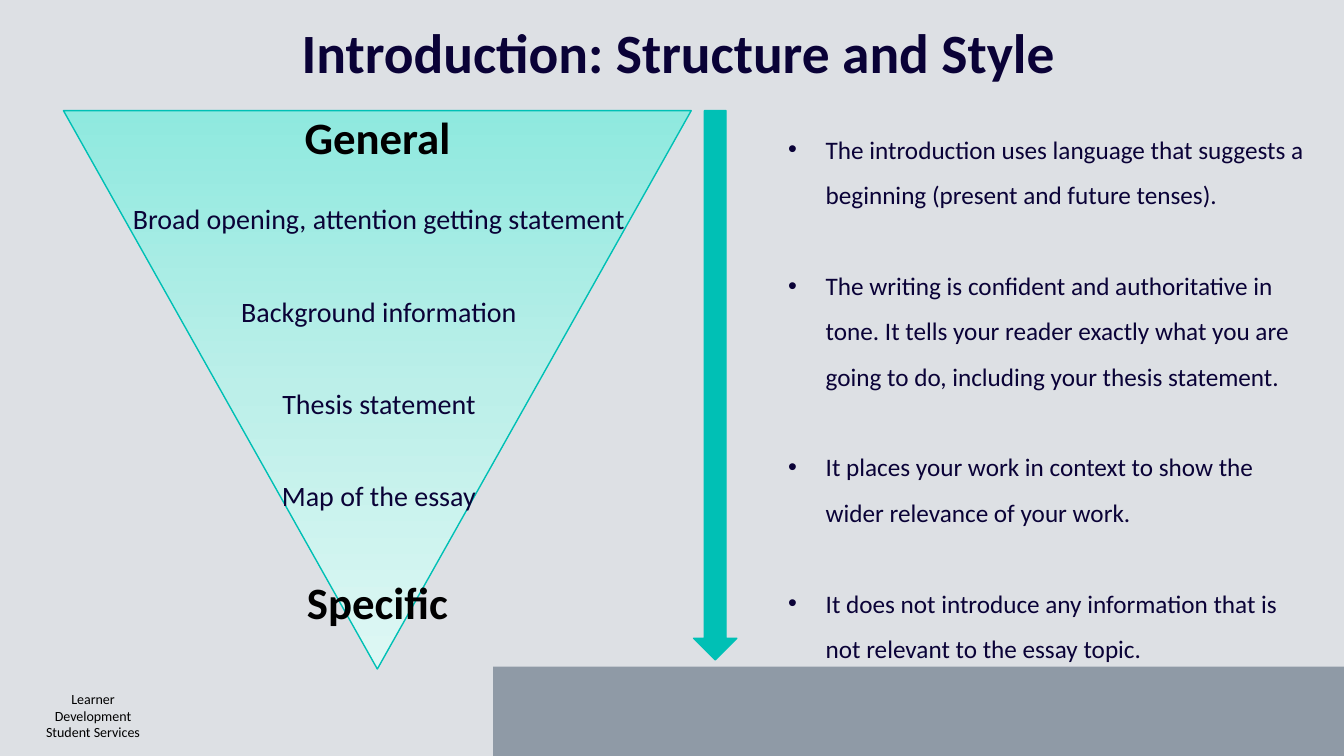
from dataclasses import dataclass

from lxml import etree
from pptx import Presentation
from pptx import util as u
from pptx.dml.color import RGBColor
from pptx.enum import shapes, text
from pptx.oxml import ns, parse_xml


@dataclass(frozen=True)
class Theme:
    font: str = "Calibri"
    navy: str = "0A0237"
    black: str = "000000"
    slate: str = "8F9AA6"
    teal: str = "00C0B5"
    fade: tuple = ((0, "8FE9DF"), (50, "BCEFE9"), (100, "DEF7F4"))
    title: float = 39.6
    label: float = 32
    step: float = 20
    point: float = 18
    footer: float = 10


THEME = Theme()
SHAPE = shapes.MSO_SHAPE
WIDTH, HEIGHT = 33.87, 19.05

STEPS = [
    "Broad opening, attention getting statement",
    "Background information",
    "Thesis statement",
    "Map of the essay",
]
POINTS = [
    "The introduction uses language that suggests a beginning (present and future tenses).",
    "The writing is confident and authoritative in tone. It tells your reader exactly "
    "what you are going to do, including your thesis statement.",
    "It places your work in context to show the wider relevance of your work.",
    "It does not introduce any information that is not relevant to the essay topic.",
]


def add_bullet(para, indent):
    """Give a paragraph a hanging round bullet."""
    props = para._p.get_or_add_pPr()
    props.set("marL", str(u.Cm(indent)))
    props.set("indent", str(-u.Cm(indent)))
    etree.SubElement(props, ns.qn("a:buFont")).set("typeface", "Arial")
    etree.SubElement(props, ns.qn("a:buChar")).set("char", "•")


def add_text(page, area, lines, *, size, color=THEME.navy, bold=False,
             align=text.PP_ALIGN.CENTER, anchor=text.MSO_ANCHOR.TOP,
             spacing=1.0, after=0, bullet_indent=None):
    """Add a text box with one paragraph for each line."""
    box = page.shapes.add_textbox(*map(u.Cm, area))
    frame = box.text_frame
    frame.word_wrap = True
    frame.vertical_anchor = anchor
    for index, line in enumerate(lines):
        para = frame.add_paragraph() if index else frame.paragraphs[0]
        para.alignment = align
        para.line_spacing = spacing
        para.space_after = u.Pt(after)
        if bullet_indent:
            add_bullet(para, bullet_indent)
        span = para.add_run()
        span.text = line
        span.font.name = THEME.font
        span.font.size = u.Pt(size)
        span.font.bold = bold
        span.font.color.rgb = RGBColor.from_string(color)


def add_figure(page, kind, area, color, *, outline=None, opacity=None):
    """Add a preset shape with a plain fill."""
    figure = page.shapes.add_shape(kind, *map(u.Cm, area))
    figure.shadow.inherit = False
    figure.fill.solid()
    figure.fill.fore_color.rgb = RGBColor.from_string(color)
    if opacity is not None:
        tint = figure._element.spPr.find(".//" + ns.qn("a:srgbClr"))
        etree.SubElement(tint, ns.qn("a:alpha")).set("val", str(opacity * 1000))
    if outline:
        figure.line.color.rgb = RGBColor.from_string(outline)
        figure.line.width = u.Pt(1)
    else:
        figure.line.fill.background()
    return figure


def add_funnel(page, area):
    """Add the inverted triangle, fading towards its tip."""
    funnel = add_figure(page, SHAPE.ISOSCELES_TRIANGLE, area, THEME.teal,
                        outline=THEME.teal)
    props = funnel._element.spPr
    props.find(ns.qn("a:xfrm")).set("flipV", "1")
    stops = "".join(
        f'<a:gs pos="{place * 1000}"><a:srgbClr val="{color}"/></a:gs>'
        for place, color in THEME.fade)
    fade = parse_xml(
        f'<a:gradFill {ns.nsdecls("a")} rotWithShape="1"><a:gsLst>{stops}</a:gsLst>'
        '<a:lin ang="16200000" scaled="1"/></a:gradFill>')
    props.replace(props.find(ns.qn("a:solidFill")), fade)


def main():
    deck = Presentation()
    deck.slide_width, deck.slide_height = u.Cm(WIDTH), u.Cm(HEIGHT)
    page = deck.slides.add_slide(deck.slide_layouts[6])

    # Backdrop and footer
    add_figure(page, SHAPE.RECTANGLE, (0, 0, WIDTH, HEIGHT), THEME.slate, opacity=30)
    add_figure(page, SHAPE.RECTANGLE, (12.43, 16.8, 21.44, 2.25), THEME.slate)
    add_text(page, (0.58, 17.27, 3.53, 1.55),
             ["Learner Development", "Student Services"],
             size=THEME.footer, color=THEME.black)

    # Funnel from general to specific
    add_funnel(page, (1.6, 2.79, 15.82, 14.07))
    add_figure(page, SHAPE.DOWN_ARROW, (17.48, 2.79, 1.09, 13.84), THEME.teal,
               outline=THEME.teal)
    for label, top in (("General", 2.64), ("Specific", 14.35)):
        add_text(page, (4.55, top, 9.93, 1.63), [label],
                 size=THEME.label, color=THEME.black, bold=True)
    add_text(page, (2.77, 4.11, 13.56, 9.02), STEPS,
             size=THEME.step, spacing=2.0, after=18)

    # Style advice
    add_text(page, (19.61, 2.87, 13.59, 14.1), POINTS, size=THEME.point,
             align=text.PP_ALIGN.LEFT, spacing=1.5, after=32.5, bullet_indent=0.95)

    # Title
    add_text(page, (4.4, 0.46, 25.4, 1.88), ["Introduction: Structure and Style"],
             size=THEME.title, bold=True, spacing=0.9, anchor=text.MSO_ANCHOR.MIDDLE)

    deck.save("out.pptx")


if __name__ == "__main__":
    main()
